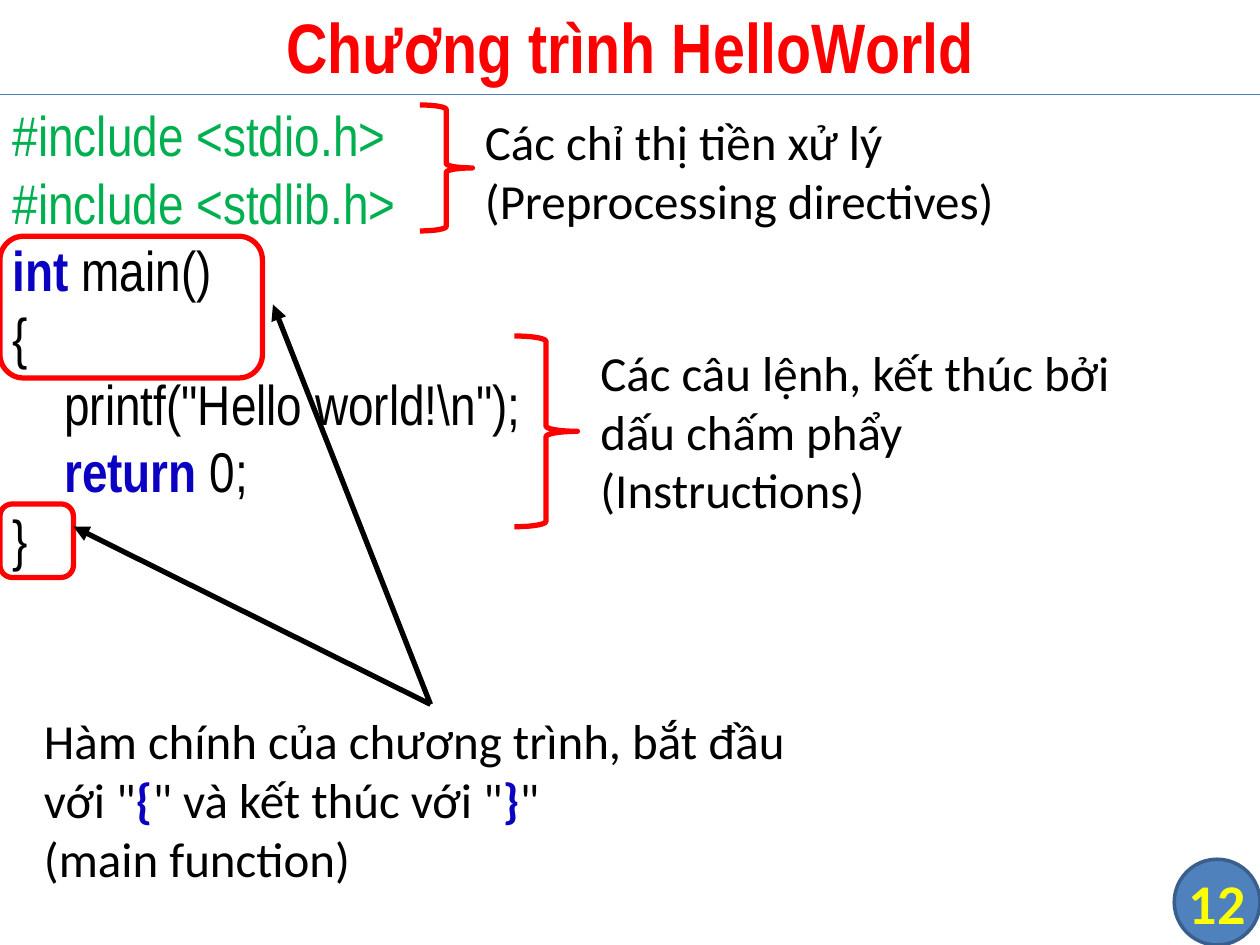
from pptx import Presentation
from pptx.dml.color import RGBColor
from pptx.enum.shapes import MSO_CONNECTOR as Conn, MSO_SHAPE as Shape
from pptx.enum.text import MSO_ANCHOR as Anchor, MSO_AUTO_SIZE as AutoSize, PP_ALIGN as Align
from pptx.oxml.ns import qn
from pptx.util import Pt
from lxml.etree import SubElement

COLORS = {
    "red": "FF0000", "green": "00B050", "navy": "0A01C3", "black": "000000",
    "yellow": "FFFF00", "badge": "4F81BD", "badge_edge": "3A5F8C", "rule": "4B7EBC",
}
TITLE = {"name": "Arial Narrow", "size": Pt(40), "bold": True, "color": "red"}
CODE = {"name": "Arial Narrow", "size": Pt(32), "bold": False, "color": "black"}
NOTE = {"name": "Calibri", "size": Pt(28), "bold": False, "color": "black"}
NUMBER = {"name": "Calibri", "size": Pt(32), "bold": True, "color": "yellow"}
DIRECTIVE = {"color": "green"}
KEYWORD = {"color": "navy", "bold": True}


def rgb(name):
    return RGBColor.from_string(COLORS[name])


class SlideBuilder:
    def __init__(self, slide):
        self.s = slide

    def fill_text(self, tf, lines, style, **para):
        """Fill tf; a line is a list of plain strings or (text, changes) pairs."""
        for i, line in enumerate(lines):
            p = tf.paragraphs[0] if i == 0 else tf.add_paragraph()
            for key, value in para.items():
                setattr(p, key, value)
            for part in line:
                text, changes = (part, {}) if isinstance(part, str) else part
                r = p.add_run()
                r.text = text
                for key, value in {**style, **changes}.items():
                    if key == "color":
                        r.font.color.rgb = rgb(value)
                    else:
                        setattr(r.font, key, value)

    def place(self, sp, box):
        for key, value in zip(("left", "top", "width", "height"), box):
            setattr(sp, key, Pt(value))
        sp.text_frame.auto_size = AutoSize.NONE

    def title(self, text, box):
        sp = self.s.shapes.title
        self.place(sp, box)
        sp.text_frame.vertical_anchor = Anchor.MIDDLE
        self.fill_text(sp.text_frame, [[text]], TITLE, alignment=Align.CENTER)

    def code(self, lines, box, indented, indent=29.5):
        sp = self.s.placeholders[1]
        self.place(sp, box)
        tf = sp.text_frame
        self.fill_text(tf, lines, CODE, space_before=Pt(0), line_spacing=Pt(38.4))
        for i, p in enumerate(tf.paragraphs):
            pPr = p._p.get_or_add_pPr()
            pPr.set("marL", str(Pt(indent if i in indented else 0)))
            pPr.set("indent", "0")
            SubElement(pPr, qn("a:buNone"))

    def note(self, lines, box, wrap=True):
        tf = self.s.shapes.add_textbox(*map(Pt, box)).text_frame
        tf.word_wrap = wrap
        tf.auto_size = AutoSize.SHAPE_TO_FIT_TEXT
        self.fill_text(tf, lines, NOTE)

    def number(self, text, box):
        tf = self.s.shapes.add_textbox(*map(Pt, box)).text_frame
        tf.word_wrap = True
        tf.vertical_anchor = Anchor.MIDDLE
        for side in ("left", "top", "right", "bottom"):
            setattr(tf, f"margin_{side}", Pt(0))
        self.fill_text(tf, [[text]], NUMBER, alignment=Align.CENTER)

    def shape(self, kind, box, fill=None, line="red", width=3):
        sp = self.s.shapes.add_shape(kind, *map(Pt, box))
        sp.shadow.inherit = False
        if fill:
            sp.fill.solid()
            sp.fill.fore_color.rgb = rgb(fill)
        else:
            sp.fill.background()
        sp.line.color.rgb = rgb(line)
        sp.line.width = Pt(width)

    def line(self, start, end, color="black", width=3, arrow=False):
        c = self.s.shapes.add_connector(Conn.STRAIGHT, *map(Pt, (*start, *end)))
        c.line.color.rgb = rgb(color)
        c.line.width = Pt(width)
        spPr = c._element.spPr
        if arrow:
            SubElement(spPr.find(qn("a:ln")), qn("a:tailEnd"), type="triangle")
        SubElement(spPr, qn("a:effectLst"))


def main():
    prs = Presentation()
    prs.slide_width, prs.slide_height = Pt(720), Pt(540)
    b = SlideBuilder(prs.slides.add_slide(prs.slide_layouts[1]))

    b.title("Chương trình HelloWorld", (0, -2, 720, 56))
    b.line((0, 54), (720, 54), "rule", 0.75)
    b.code([
        [("#include <stdio.h>", DIRECTIVE)],
        [("#include <stdlib.h>", DIRECTIVE)],
        [("int ", KEYWORD), "main()"],
        ["{"],
        [r'printf("Hello world!\n");'],
        [("return", KEYWORD), " 0;"],
        ["}"],
    ], (0, 54, 720, 486), indented=(4, 5))

    badge = (671, 491, 49, 49)
    b.shape(Shape.FLOWCHART_CONNECTOR, badge, "badge", "badge_edge", 2)
    b.number("12", badge)

    b.shape(Shape.RIGHT_BRACE, (240, 60, 30, 72))
    b.note([["Các chỉ thị tiền xử lý"], ["(Preprocessing directives)"]],
           (270, 60, 342, 75), wrap=False)

    b.shape(Shape.RIGHT_BRACE, (294, 192, 36, 109))
    b.note([["Các câu lệnh, kết thúc bởi dấu chấm phẩy"], ["(Instructions)"]],
           (336, 192, 342, 109))

    for box in ((0, 135, 150, 81), (0, 288, 42, 42)):
        b.shape(Shape.ROUNDED_RECTANGLE, box)
    b.note([
        ['Hàm chính của chương trình, bắt đầu với "', ("{", KEYWORD),
         '" và kết thúc với "', ("}", KEYWORD), '"'],
        ["(main function)"],
    ], (18, 402.5, 456, 113))
    for tip in ((156, 174), (42, 301)):
        b.line((246, 402.5), tip, arrow=True)

    prs.save("out.pptx")


if __name__ == "__main__":
    main()
